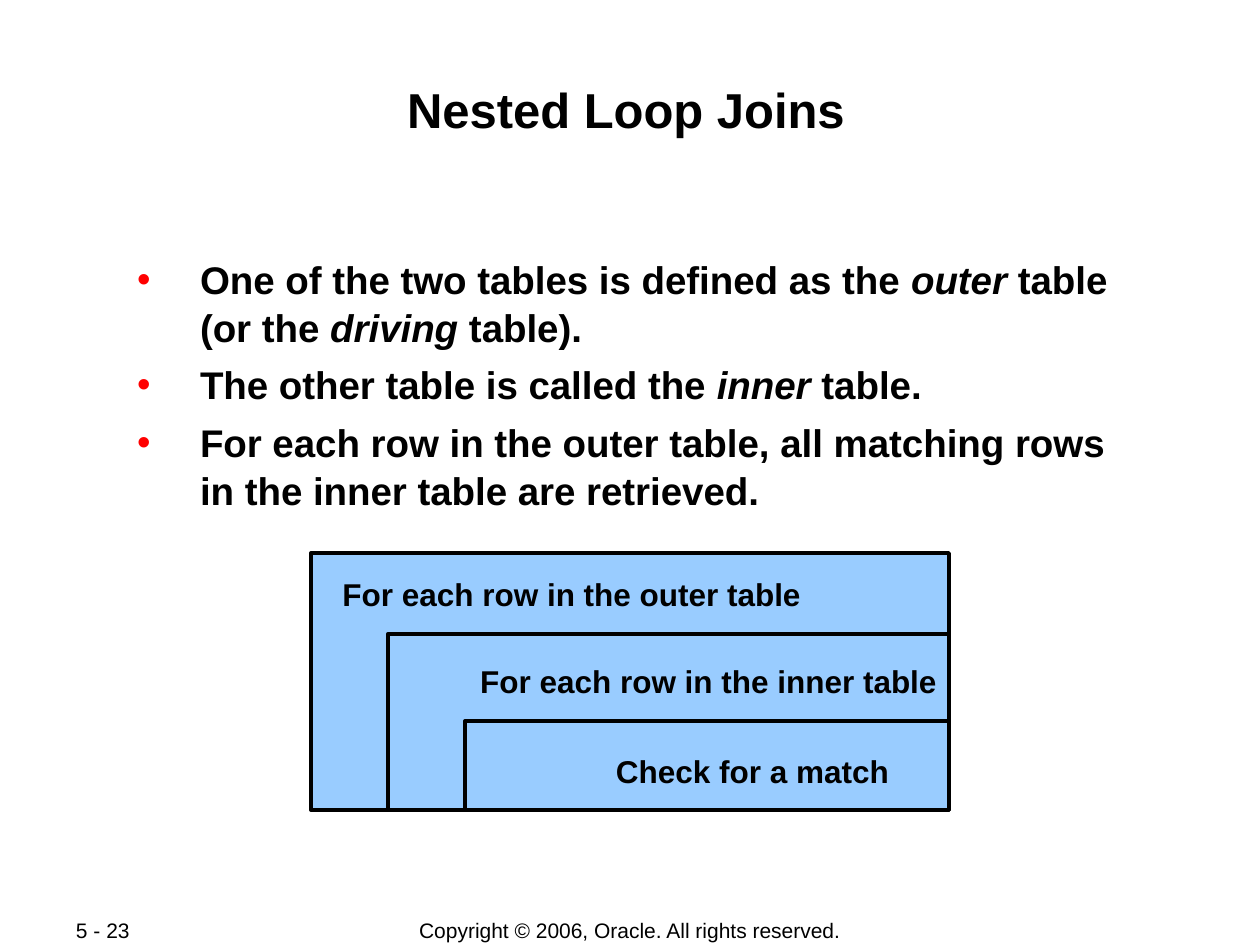
"""Build the slide that explains nested loop joins."""
from lxml.etree import SubElement
from pptx import Presentation
from pptx.dml.color import RGBColor
from pptx.enum.shapes import MSO_SHAPE
from pptx.enum.text import MSO_ANCHOR, PP_ALIGN
from pptx.oxml.ns import qn
from pptx.util import Pt

PX = 914400 // 126
BLACK = RGBColor(0x00, 0x00, 0x00)
RED = RGBColor(0xFF, 0x00, 0x00)
LIGHT_BLUE = RGBColor(0x99, 0xCC, 0xFF)


def add_text_box(left, top, width, height, margins=(13, 6)):
    box = slide.shapes.add_textbox(left * PX, top * PX, width * PX, height * PX)
    text_frame = box.text_frame
    text_frame.word_wrap = True
    text_frame.margin_left = text_frame.margin_right = margins[0] * PX
    text_frame.margin_top = text_frame.margin_bottom = margins[1] * PX
    return text_frame


def style_paragraph(paragraph, size, bold=True, align=PP_ALIGN.LEFT):
    paragraph.alignment = align
    paragraph.font.name = "Arial"
    paragraph.font.size = Pt(size)
    paragraph.font.bold = bold
    paragraph.font.color.rgb = BLACK
    for run in paragraph.runs:
        run.font.name = "Arial"
        run.font.size = Pt(size)
        run.font.bold = bold
        run.font.color.rgb = BLACK


presentation = Presentation()
presentation.slide_width = 1260 * PX
presentation.slide_height = 945 * PX
slide = presentation.slides.add_slide(presentation.slide_layouts[6])

footers = [
    ("5 - 23", 63, 134, PP_ALIGN.LEFT),
    ("Copyright © 2006, Oracle. All rights reserved.", 347, 566, PP_ALIGN.CENTER),
]
for text, left, width, align in footers:
    text_frame = add_text_box(left, 917, width, 26)
    text_frame.vertical_anchor = MSO_ANCHOR.MIDDLE
    text_frame.text = text
    style_paragraph(text_frame.paragraphs[0], 12, False, align)

title = add_text_box(122, 79, 1008, 115, (1, 1))
title.text = "Nested Loop Joins"
style_paragraph(title.paragraphs[0], 28, align=PP_ALIGN.CENTER)

bullets = [
    ["One of the two tables is defined as the ", "outer", " table (or the ", "driving", " table)."],
    ["The other table is called the ", "inner", " table."],
    ["For each row in the outer table, all matching rows in the inner table are retrieved."],
]
body = add_text_box(119, 253, 1015, 253, (1, 1))
for index, pieces in enumerate(bullets):
    paragraph = body.paragraphs[0] if index == 0 else body.add_paragraph()
    properties = paragraph._p.get_or_add_pPr()
    properties.set("marL", str(80 * PX))
    properties.set("indent", str(-63 * PX))
    bullet_color = SubElement(properties, qn("a:buClr"))
    SubElement(bullet_color, qn("a:srgbClr"), val=str(RED))
    SubElement(properties, qn("a:buFont"), typeface="Arial")
    SubElement(properties, qn("a:buChar"), char="•")
    for position, piece in enumerate(pieces):
        run = paragraph.add_run()
        run.text = piece
        run.font.italic = position % 2 == 1
    paragraph.line_spacing = 1.04
    if index:
        paragraph.space_before = Pt(5.5)
    style_paragraph(paragraph, 22)

LOOP_RIGHT, LOOP_BOTTOM = 949, 810
for left, top in [(311, 553), (388, 634), (465, 721)]:
    loop = slide.shapes.add_shape(
        MSO_SHAPE.RECTANGLE, left * PX, top * PX,
        (LOOP_RIGHT - left) * PX, (LOOP_BOTTOM - top) * PX,
    )
    loop.shadow.inherit = False
    loop.fill.solid()
    loop.fill.fore_color.rgb = LIGHT_BLUE
    loop.line.color.rgb = BLACK
    loop.line.width = Pt(2.25)

labels = [
    ("For each row in the outer table", 320, 569, 494),
    ("For each row in the inner table", 404, 656, 546),
    ("Check for a match", 494, 746, 408),
]
for text, left, top, width in labels:
    label = add_text_box(left, top, width, 50)
    label.text = text
    style_paragraph(label.paragraphs[0], 18, align=PP_ALIGN.RIGHT)

presentation.save("out.pptx")
